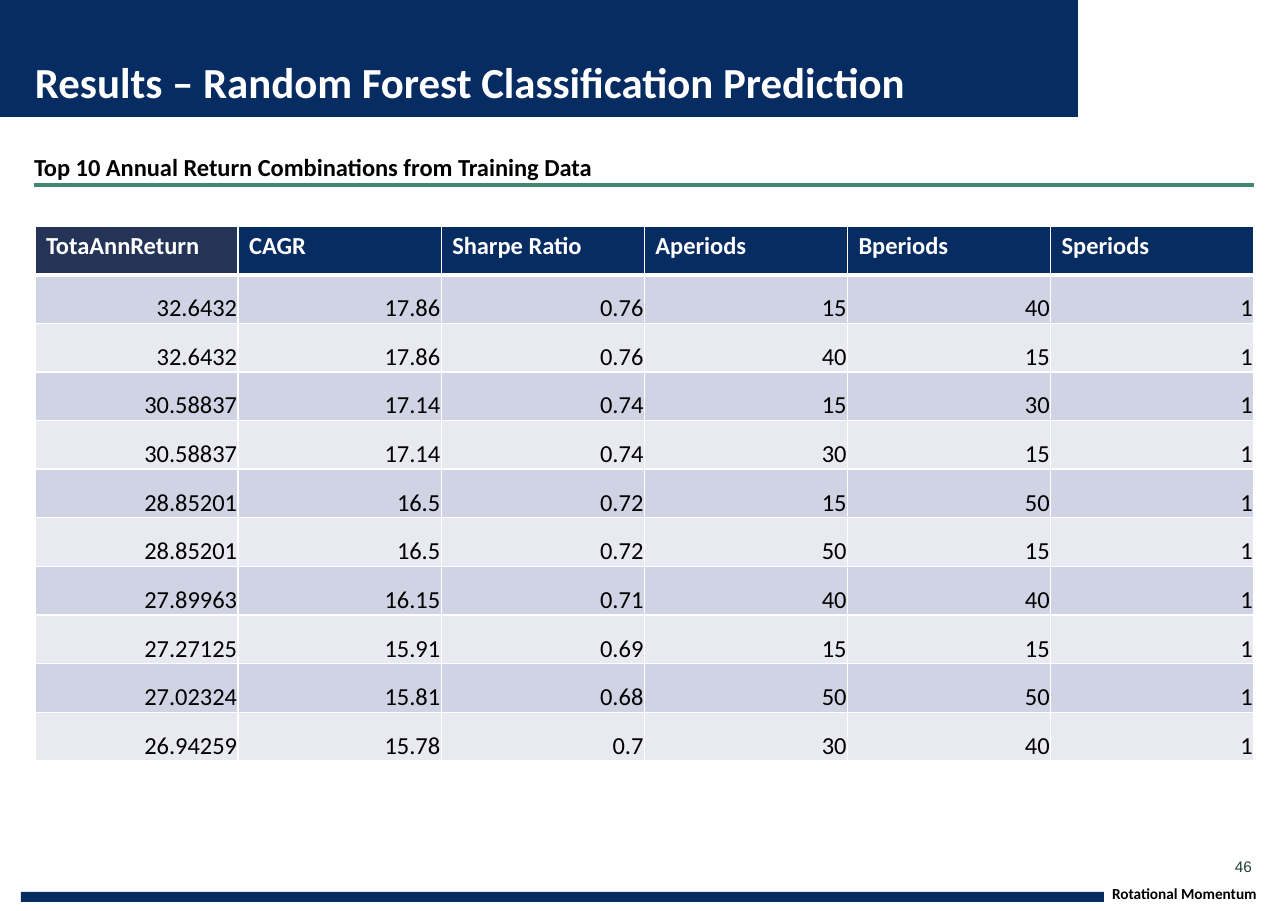
from lxml.etree import SubElement
from pptx import Presentation
from pptx.dml.color import RGBColor
from pptx.enum.shapes import MSO_CONNECTOR, MSO_SHAPE
from pptx.enum.text import MSO_ANCHOR, PP_ALIGN
from pptx.oxml.ns import qn
from pptx.util import Pt

PX = 8298
NAVY = RGBColor(0x07, 0x2C, 0x62)
SLATE = RGBColor(0x25, 0x33, 0x56)
GREEN = RGBColor(0x40, 0x8B, 0x70)
DARK_GREEN = RGBColor(0x23, 0x40, 0x35)
BAND_DARK = RGBColor(0xD0, 0xD3, 0xE3)
BAND_LIGHT = RGBColor(0xE9, 0xEA, 0xF1)
WHITE = RGBColor(0xFF, 0xFF, 0xFF)
BLACK = RGBColor(0, 0, 0)

TITLE = {"name": "Calibri", "size": Pt(28), "bold": True}
HEADING = {"name": "Calibri", "size": Pt(16), "bold": True}
BODY = {"name": "Calibri", "size": Pt(16), "bold": False}
FOOTER = {"name": "Calibri", "size": Pt(10), "bold": True}
PAGE = {"name": "Arial", "size": Pt(10), "bold": False}
NO_MARGINS = {"margin_left": 0, "margin_top": 0, "margin_right": 0, "margin_bottom": 0}
NUMBER_CELL = {"margin_left": PX, "margin_top": PX, "margin_right": PX,
               "margin_bottom": 0, "vertical_anchor": MSO_ANCHOR.BOTTOM}

HEADERS = ["TotaAnnReturn", "CAGR", "Sharpe Ratio", "Aperiods", "Bperiods", "Speriods"]
RESULTS = [
    ["32.6432", "17.86", "0.76", "15", "40", "1"],
    ["32.6432", "17.86", "0.76", "40", "15", "1"],
    ["30.58837", "17.14", "0.74", "15", "30", "1"],
    ["30.58837", "17.14", "0.74", "30", "15", "1"],
    ["28.85201", "16.5", "0.72", "15", "50", "1"],
    ["28.85201", "16.5", "0.72", "50", "15", "1"],
    ["27.89963", "16.15", "0.71", "40", "40", "1"],
    ["27.27125", "15.91", "0.69", "15", "15", "1"],
    ["27.02324", "15.81", "0.68", "50", "50", "1"],
    ["26.94259", "15.78", "0.7", "30", "40", "1"],
]


def emu(*lengths):
    return [n * PX for n in lengths]


def apply(target, values):
    for name, value in values.items():
        setattr(target, name, value)


def write(p, text, style, color):
    r = p.add_run()
    r.text = text
    apply(r.font, style)
    r.font.color.rgb = color


def add_bar(s, box, color):
    sp = s.shapes.add_shape(MSO_SHAPE.RECTANGLE, *emu(*box))
    sp.shadow.inherit = False
    sp.fill.solid()
    sp.fill.fore_color.rgb = color
    sp.line.fill.background()
    return sp


def add_text(s, box, text, style, color, **frame):
    tf = s.shapes.add_textbox(*emu(*box)).text_frame
    apply(tf, {**NO_MARGINS, "word_wrap": True,
               "vertical_anchor": MSO_ANCHOR.BOTTOM, **frame})
    write(tf.paragraphs[0], text, style, color)
    return tf.paragraphs[0]


def add_rule(s, x1, x2, y, color):
    line = s.shapes.add_connector(MSO_CONNECTOR.STRAIGHT, *emu(x1, y, x2, y))
    line.line.color.rgb = color
    line.line.width = Pt(2)
    SubElement(line._element.spPr, qn("a:effectLst"))


def set_borders(cell, top, bottom):
    tcPr = cell._tc.get_or_add_tcPr()
    for side, width in {"L": 1, "R": 1, "T": top, "B": bottom}.items():
        ln = SubElement(tcPr, qn(f"a:ln{side}"), w=str(Pt(width)))
        fill = SubElement(ln, qn("a:solidFill"))
        SubElement(fill, qn("a:srgbClr"), val=str(WHITE))


def fill_cell(cell, text, row, col):
    set_borders(cell, 3 if row == 1 else 1, 3 if row == 0 else 1)
    p = cell.text_frame.paragraphs[0]
    cell.fill.solid()
    if row == 0:
        cell.fill.fore_color.rgb = SLATE if col == 0 else NAVY
        write(p, text, HEADING, WHITE)
    else:
        cell.fill.fore_color.rgb = BAND_DARK if row % 2 else BAND_LIGHT
        apply(cell, NUMBER_CELL)
        p.alignment = PP_ALIGN.RIGHT
        write(p, text, BODY, BLACK)


def add_results(s, box):
    rows = [HEADERS] + RESULTS
    table = s.shapes.add_table(len(rows), len(HEADERS), *emu(*box)).table
    table.horz_banding = False
    for i, row in enumerate(rows):
        for j, text in enumerate(row):
            fill_cell(table.cell(i, j), text, i, j)


def main():
    prs = Presentation()
    prs.slide_width, prs.slide_height = emu(1288, 911)
    s = prs.slides.add_slide(prs.slide_layouts[6])

    add_bar(s, (0, 0, 1288, 117), NAVY)
    corner = add_bar(s, (1080, 0, 208, 117), WHITE)
    corner.line.color.rgb = WHITE
    corner.line.width = Pt(2)
    add_bar(s, (21, 892, 1083, 10), NAVY)
    add_text(s, (1112, 884, 176, 19), "Rotational Momentum", FOOTER, BLACK)
    add_text(s, (35, 55, 1046, 52),
             "Results – Random Forest Classification Prediction", TITLE, WHITE)
    add_text(s, (1235, 857, 19, 19), "46", PAGE, DARK_GREEN,
             word_wrap=False, vertical_anchor=MSO_ANCHOR.MIDDLE)
    add_results(s, (35, 226, 1219, 535))
    p = add_text(s, (34, 150, 1220, 34),
                 "Top 10 Annual Return Combinations from Training Data",
                 HEADING, BLACK, margin_bottom=3 * PX)
    p.line_spacing = 1.1
    add_rule(s, 34, 1254, 185, GREEN)

    prs.save("out.pptx")


if __name__ == "__main__":
    main()
